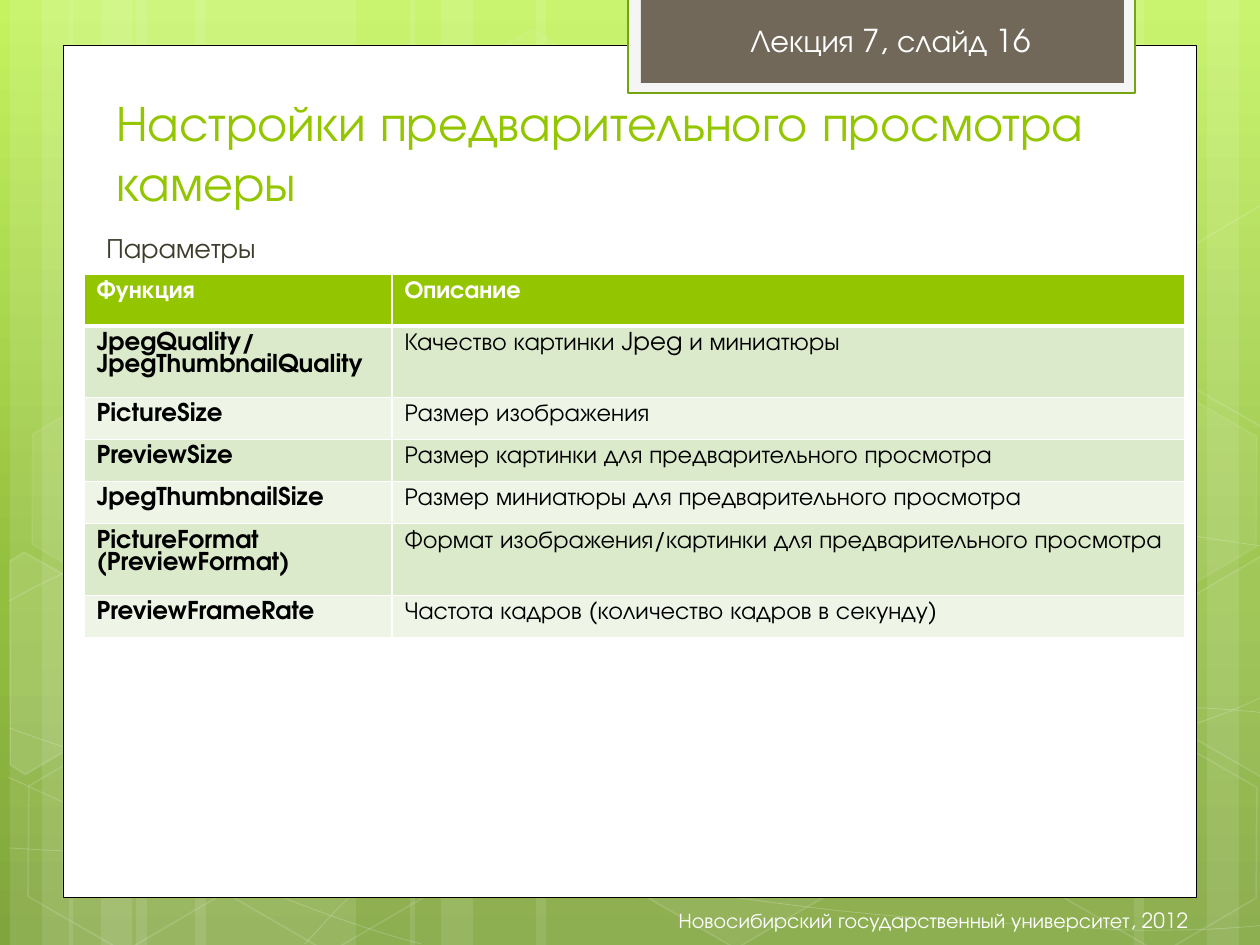
import math

import pptx
import pptx.dml.color
import pptx.enum.shapes
import pptx.enum.text
import pptx.oxml.ns
import pptx.util
from lxml import etree

PX = 914400 // 126
FONT = "TeX Gyre Adventor"
WHITE, GREEN = "FFFFFF", "94C600"
TILT = 30
qn = pptx.oxml.ns.qn
SHAPES = pptx.enum.shapes.MSO_SHAPE
ALIGN = pptx.enum.text.PP_ALIGN
ANCHOR = pptx.enum.text.MSO_ANCHOR

# (left, width), full-height translucent stripes
STRIPES = [(136, 220), (10, 63), (42, 105), (195, 220), (69, 63), (101, 105),
           (924, 220), (1207, 63), (1134, 105), (536, 388), (410, 63), (441, 105)]

# A start point, then Bezier triples: two controls and an end
CURVES = [
    [(9, 848), (77, 852), (145, 856), (239, 854), (334, 853), (451, 851), (577, 838),
     (703, 825), (882, 801), (998, 777), (1113, 753), (1231, 716), (1269, 693)],
    [(9, 601), (45, 581), (82, 562), (152, 543), (224, 524), (326, 496), (437, 488),
     (549, 479), (685, 478), (824, 488), (963, 498), (1193, 537), (1269, 547)],
    [(8, 777), (160, 847), (311, 916), (421, 944)],
    [(9, 728), (48, 742), (88, 756), (161, 776), (234, 795), (344, 827), (450, 848),
     (554, 869), (687, 892), (791, 905), (896, 919), (1008, 924), (1075, 927),
     (1140, 932), (1158, 930), (1191, 930), (1223, 929), (1246, 927), (1269, 925)],
    [(305, 944), (328, 919), (350, 893), (381, 871), (411, 848), (454, 823), (489, 805),
     (521, 789), (546, 780), (592, 767), (638, 754), (722, 737), (766, 728),
     (809, 719), (818, 719), (857, 717), (896, 713), (958, 709), (1000, 708),
     (1043, 707), (1116, 708), (1116, 708), (1145, 708), (1173, 708), (1201, 708),
     (1223, 709), (1245, 711), (1256, 712), (1260, 713), (1264, 712), (1268, 713)],
]

# (left, top, fill opacity, line opacity)
HEXAGONS = [(421, 45, 4, 8), (626, 742, 6, 12), (14, 745, 0, 12), (18, 393, 7, 8),
            (219, 746, 0, 12), (1051, 747, 0, 12), (1051, 396, 7, 8)]

# (centre, points as they show, fill opacity): hexagons cut by the slide edge
CUT_HEXAGONS = [
    ((45, 674), [(10, 561), (24, 552), (121, 607), (120, 718), (25, 774), (10, 765)], 10),
    ((1241, 655), [(1167, 611), (1261, 556), (1271, 562), (1271, 772), (1263, 777),
                   (1167, 722)], 4),
    ((1241, 304), [(1167, 261), (1261, 205), (1272, 212), (1271, 422), (1263, 427),
                   (1167, 372)], 0),
]

# (left, top, width, height, fill, line, line width)
PANELS = [(63, 45, 1134, 853, WHITE, "000000", 0.5),
          (628, -2, 507, 95, "F5F5F5", "74A510", 1.25),
          (641, -2, 483, 85, "71685A", None, 0)]

# (runs, (left, top, width, height), size, colour, anchor, alignment, indent)
TEXTS = [
    (["Настройки предварительного просмотра камеры"], (104, 116, 1032, 102), 28.8, GREEN,
     ANCHOR.BOTTOM, ALIGN.LEFT, 0),
    (["Лекция 7, слайд ", "16"], (738, 15, 326, 50), 18, WHITE, ANCHOR.TOP, ALIGN.LEFT, 0),
    (["Новосибирский государственный университет, 2012"], (391, 895, 810, 50), 12, WHITE,
     ANCHOR.MIDDLE, ALIGN.RIGHT, 0),
    (["Параметры"], (84, 224, 1101, 49), 16, "3E3D2D", ANCHOR.TOP, ALIGN.LEFT, 10),
]

# (height, function, description)
ROWS = [
    (52, "Функция", "Описание"),
    (71, "JpegQuality/\nJpegThumbnailQuality", "Качество картинки Jpeg и миниатюры"),
    (42, "PictureSize", "Размер изображения"),
    (42, "PreviewSize", "Размер картинки для предварительного просмотра"),
    (42, "JpegThumbnailSize", "Размер миниатюры для предварительного просмотра"),
    (72, "PictureFormat (PreviewFormat)",
     "Формат изображения/картинки для предварительного просмотра"),
    (42, "PreviewFrameRate", "Частота кадров (количество кадров в секунду)"),
]
COLUMNS = [308, 793]


def rgb(color):
    return pptx.dml.color.RGBColor.from_string(color)


def set_opacity(parent, percent):
    """Make the solid fill that belongs to parent translucent."""
    color = parent.find(qn("a:solidFill"))[0]
    etree.SubElement(color, qn("a:alpha"), val=str(percent * 1000))


def style(shape, fill=None, fill_opacity=100, line=None, width=0, line_opacity=100):
    shape.shadow.inherit = False
    properties = shape.element.spPr
    if fill and fill_opacity:
        shape.fill.solid()
        shape.fill.fore_color.rgb = rgb(fill)
        if fill_opacity < 100:
            set_opacity(properties, fill_opacity)
    else:
        shape.fill.background()
    if line:
        shape.line.color.rgb = rgb(line)
        shape.line.width = pptx.util.Pt(width)
        if line_opacity < 100:
            set_opacity(properties.find(qn("a:ln")), line_opacity)
    else:
        shape.line.fill.background()


def add_preset(page, kind, *frame):
    return page.shapes.add_shape(kind, *(value * PX for value in frame))


def add_outline(page, points, close):
    builder = page.shapes.build_freeform(*points[0], scale=PX)
    builder.add_line_segments(points[1:], close=close)
    return builder.convert_to_shape()


def add_curve(page, points):
    """Draw a chain of Bezier pieces by joining each three line segments into one curve."""
    shape = add_outline(page, points, False)
    segments = list(shape.element.iter(qn("a:lnTo")))
    for start in range(0, len(segments), 3):
        piece = etree.Element(qn("a:cubicBezTo"))
        segments[start].addprevious(piece)
        for segment in segments[start:start + 3]:
            piece.append(segment[0])
            segment.getparent().remove(segment)
    return shape


def turn_back(point, centre):
    """Undo the tilt of a point about a centre."""
    x, y = point[0] - centre[0], point[1] - centre[1]
    cos, sin = math.cos(math.radians(TILT)), math.sin(math.radians(TILT))
    return centre[0] + x * cos + y * sin, centre[1] - x * sin + y * cos


def add_run(para, text, size, color, bold=False):
    span = para.add_run()
    span.text = text
    span.font.name = FONT
    span.font.size = pptx.util.Pt(size)
    span.font.bold = bold
    span.font.color.rgb = rgb(color)


def set_background(page):
    fill = page.background.fill
    fill.gradient()
    fill.gradient_angle = 270
    stops = page.element.find(".//" + qn("a:gsLst"))
    for stop in list(stops):
        stops.remove(stop)
    for position, color in [(0, "C3F35F"), (62, "93BF3F"), (100, "81A53E")]:
        stop = etree.SubElement(stops, qn("a:gs"), pos=str(position * 1000))
        etree.SubElement(stop, qn("a:srgbClr"), val=color)


def add_backdrop(page):
    for left, width in STRIPES:
        style(add_preset(page, SHAPES.RECTANGLE, left, 0, width, 945), WHITE, 10)
    for curve in CURVES:
        style(add_curve(page, curve), None, 0, WHITE, 0.5, 20)
    for left, top, fill_opacity, line_opacity in HEXAGONS:
        hexagon = add_preset(page, SHAPES.HEXAGON, left, top, 220, 192)
        hexagon.adjustments[0] = 0.285
        hexagon.rotation = TILT
        style(hexagon, WHITE, fill_opacity, WHITE, 1, line_opacity)
    for centre, points, fill_opacity in CUT_HEXAGONS:
        hexagon = add_outline(page, [turn_back(point, centre) for point in points], True)
        hexagon.rotation = TILT
        style(hexagon, WHITE, fill_opacity, WHITE, 1, 12)
    for *frame, fill, line, width in PANELS:
        style(add_preset(page, SHAPES.RECTANGLE, *frame), fill, 100, line, width)


def add_text(page, runs, frame, size, color, anchor, align, indent):
    box = page.shapes.add_textbox(*(value * PX for value in frame)).text_frame
    box.word_wrap = True
    box.vertical_anchor = anchor
    para = box.paragraphs[0]
    para.alignment = align
    if indent:
        para._p.get_or_add_pPr().set("marL", str(indent * PX))
    for text in runs:
        add_run(para, text, size, color)


def add_borders(cell, bottom_width):
    properties = cell._tc.get_or_add_tcPr()
    for index, side in enumerate("LRTB"):
        width = bottom_width if side == "B" else 1
        line = etree.Element(qn("a:ln" + side), w=str(pptx.util.Pt(width)))
        solid = etree.SubElement(line, qn("a:solidFill"))
        etree.SubElement(solid, qn("a:srgbClr"), val=WHITE)
        properties.insert(index, line)


def add_parameter_table(page):
    frame = (84, 274, sum(COLUMNS), sum(row[0] for row in ROWS))
    table = page.shapes.add_table(len(ROWS), len(COLUMNS),
                                  *(value * PX for value in frame)).table
    table.horz_banding = False
    for column, width in zip(table.columns, COLUMNS):
        column.width = width * PX
    for r, (height, *texts) in enumerate(ROWS):
        table.rows[r].height = height * PX
        header = r == 0
        for c, text in enumerate(texts):
            cell = table.cell(r, c)
            cell.fill.solid()
            cell.fill.fore_color.rgb = rgb(GREEN if header else ("EEF5E7", "DCEACC")[r % 2])
            add_borders(cell, 3 if header else 1)
            box = cell.text_frame
            for i, line in enumerate(text.split("\n")):
                para = box.add_paragraph() if i else box.paragraphs[0]
                add_run(para, line, 14, WHITE if header else "000000", header or c == 0)


deck = pptx.Presentation()
deck.slide_width, deck.slide_height = 1260 * PX, 945 * PX
page = deck.slides.add_slide(deck.slide_layouts[6])
set_background(page)
add_backdrop(page)
for item in TEXTS:
    add_text(page, *item)
add_parameter_table(page)
deck.save("out.pptx")
